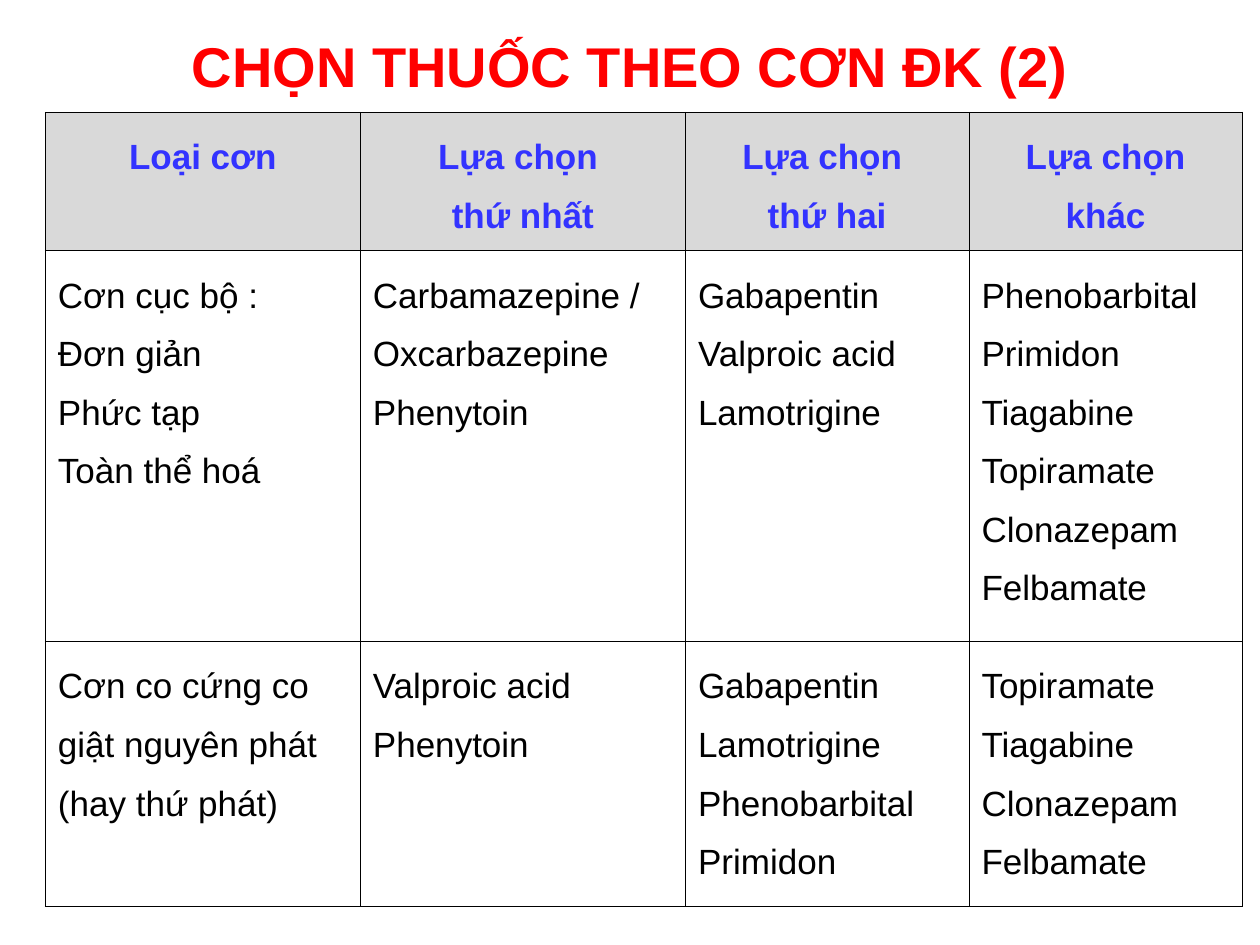
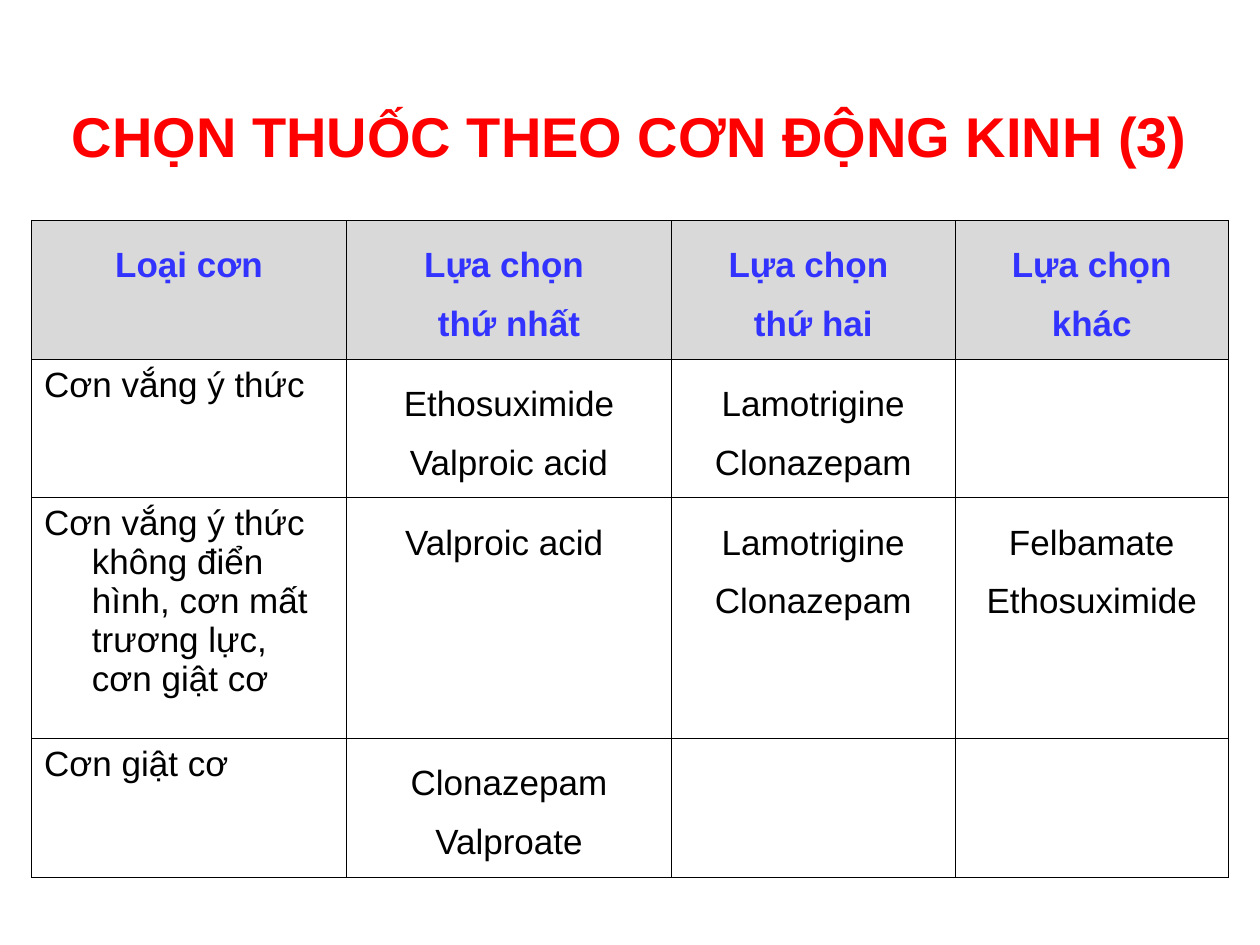
from dataclasses import dataclass

from lxml.etree import SubElement
from pptx import Presentation
from pptx.dml.color import RGBColor
from pptx.enum.text import MSO_ANCHOR, PP_ALIGN
from pptx.oxml.ns import qn
from pptx.util import Inches, Pt


@dataclass(frozen=True)
class Theme:
    font: str = "Arial"
    title_size: int = 32
    table_size: int = 20
    title: str = "FF0000"
    heading: str = "3333FF"
    heading_fill: str = "D9D9D9"
    body: str = "000000"
    border: str = "000000"
    border_width: float = 0.45


THEME = Theme()
COLUMN_WIDTHS = [2.5, 2.58, 2.25, 2.17]
HANGING_INDENT = 0.38
HEADINGS = ["Loại cơn", "Lựa chọn \nthứ nhất", "Lựa chọn \nthứ hai", "Lựa chọn khác"]

# The second slide hangs its seizure names and centres its drugs.
SLIDES = [
    dict(
        title="CHỌN THUỐC THEO CƠN ĐK (2)", title_top=-0.33, title_height=1.16,
        left=0.36, top=0.89, row_heights=[1.1, 3.1, 2.1],
        seizure_format=dict(spacing=1.5), drug_format=dict(spacing=1.5),
        rows=[
            ["Cơn cục bộ :\nĐơn giản\nPhức tạp\nToàn thể hoá",
             "Carbamazepine /\nOxcarbazepine\nPhenytoin",
             "Gabapentin\nValproic acid\nLamotrigine",
             "Phenobarbital\nPrimidon\nTiagabine\nTopiramate\nClonazepam\nFelbamate"],
            ["Cơn co cứng co giật nguyên phát (hay thứ phát)",
             "Valproic acid\nPhenytoin",
             "Gabapentin\nLamotrigine\nPhenobarbital\nPrimidon",
             "Topiramate\nTiagabine\nClonazepam\nFelbamate"],
        ],
    ),
    dict(
        title="CHỌN THUỐC THEO CƠN ĐỘNG KINH (3)", title_top=0.66, title_height=0.73,
        left=0.25, top=1.75, row_heights=[1.1, 1.1, 1.91, 1.1],
        seizure_format=dict(hanging=HANGING_INDENT),
        drug_format=dict(align=PP_ALIGN.CENTER, spacing=1.5, hanging=HANGING_INDENT),
        rows=[
            ["Cơn vắng ý thức", "Ethosuximide\nValproic acid", "Lamotrigine\nClonazepam", ""],
            ["Cơn vắng ý thức không điển hình, cơn mất trương lực, cơn giật cơ",
             "Valproic acid ", "Lamotrigine\nClonazepam", "Felbamate\nEthosuximide"],
            ["Cơn giật cơ", "Clonazepam\nValproate", "", ""],
        ],
    ),
]


def write(frame, text, size=THEME.table_size, color=THEME.body, bold=False,
          align=PP_ALIGN.LEFT, spacing=1.0, hanging=0):
    """Fill a text frame, one paragraph per line of text."""
    frame.word_wrap = True
    frame.text = text
    for paragraph in frame.paragraphs:
        paragraph.alignment = align
        paragraph.line_spacing = spacing
        if hanging:
            properties = paragraph._p.get_or_add_pPr()
            properties.set("marL", str(Inches(hanging)))
            properties.set("indent", str(-Inches(hanging)))
        font = paragraph.font
        font.name, font.size, font.bold = THEME.font, Pt(size), bold
        font.color.rgb = RGBColor.from_string(color)


def outline(cell):
    properties = cell._tc.get_or_add_tcPr()
    for side in ("lnL", "lnR", "lnT", "lnB"):
        line = SubElement(properties, qn(f"a:{side}"), w=str(Pt(THEME.border_width)))
        SubElement(SubElement(line, qn("a:solidFill")), qn("a:srgbClr"), val=THEME.border)


presentation = Presentation()
presentation.slide_width, presentation.slide_height = Inches(10), Inches(7.5)

for content in SLIDES:
    slide = presentation.slides.add_slide(presentation.slide_layouts[6])

    title = slide.shapes.add_textbox(0, Inches(content["title_top"]),
                                     presentation.slide_width,
                                     Inches(content["title_height"])).text_frame
    title.vertical_anchor = MSO_ANCHOR.BOTTOM
    write(title, content["title"], size=THEME.title_size, color=THEME.title,
          bold=True, align=PP_ALIGN.CENTER)

    rows = [HEADINGS, *content["rows"]]
    treatments = slide.shapes.add_table(
        len(rows), len(COLUMN_WIDTHS), Inches(content["left"]), Inches(content["top"]),
        Inches(sum(COLUMN_WIDTHS)), Inches(sum(content["row_heights"]))).table
    treatments.horz_banding = False
    treatments.first_row = False
    for column, width in zip(treatments.columns, COLUMN_WIDTHS):
        column.width = Inches(width)
    for row, height in zip(treatments.rows, content["row_heights"]):
        row.height = Inches(height)

    for row_index, texts in enumerate(rows):
        for column_index, text in enumerate(texts):
            cell = treatments.cell(row_index, column_index)
            outline(cell)
            if row_index == 0:
                cell.fill.solid()
                cell.fill.fore_color.rgb = RGBColor.from_string(THEME.heading_fill)
                write(cell.text_frame, text, color=THEME.heading, bold=True,
                      align=PP_ALIGN.CENTER, spacing=1.5)
            else:
                cell.fill.background()
                style = "drug_format" if column_index else "seizure_format"
                write(cell.text_frame, text, **content[style])

presentation.save("out.pptx")
